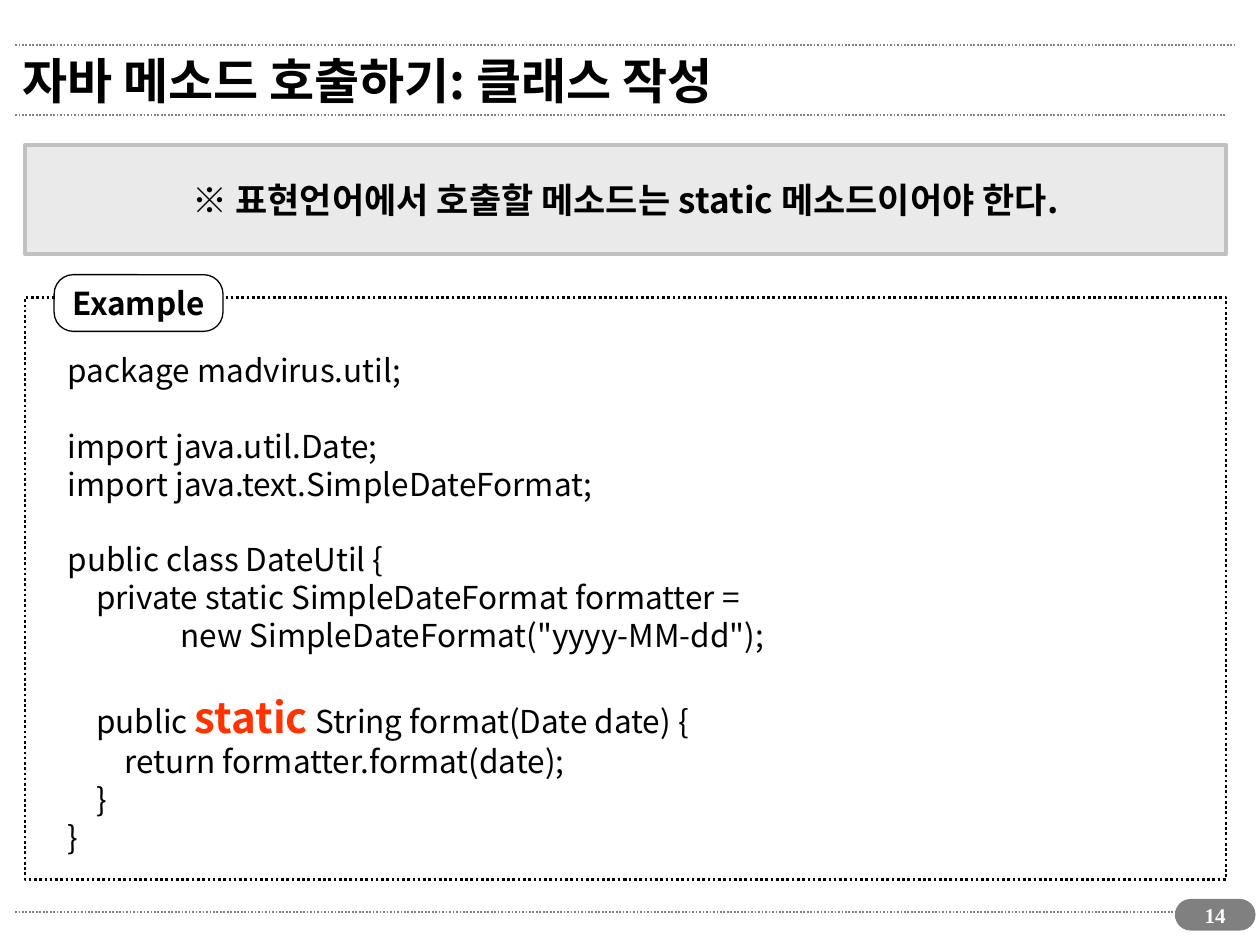
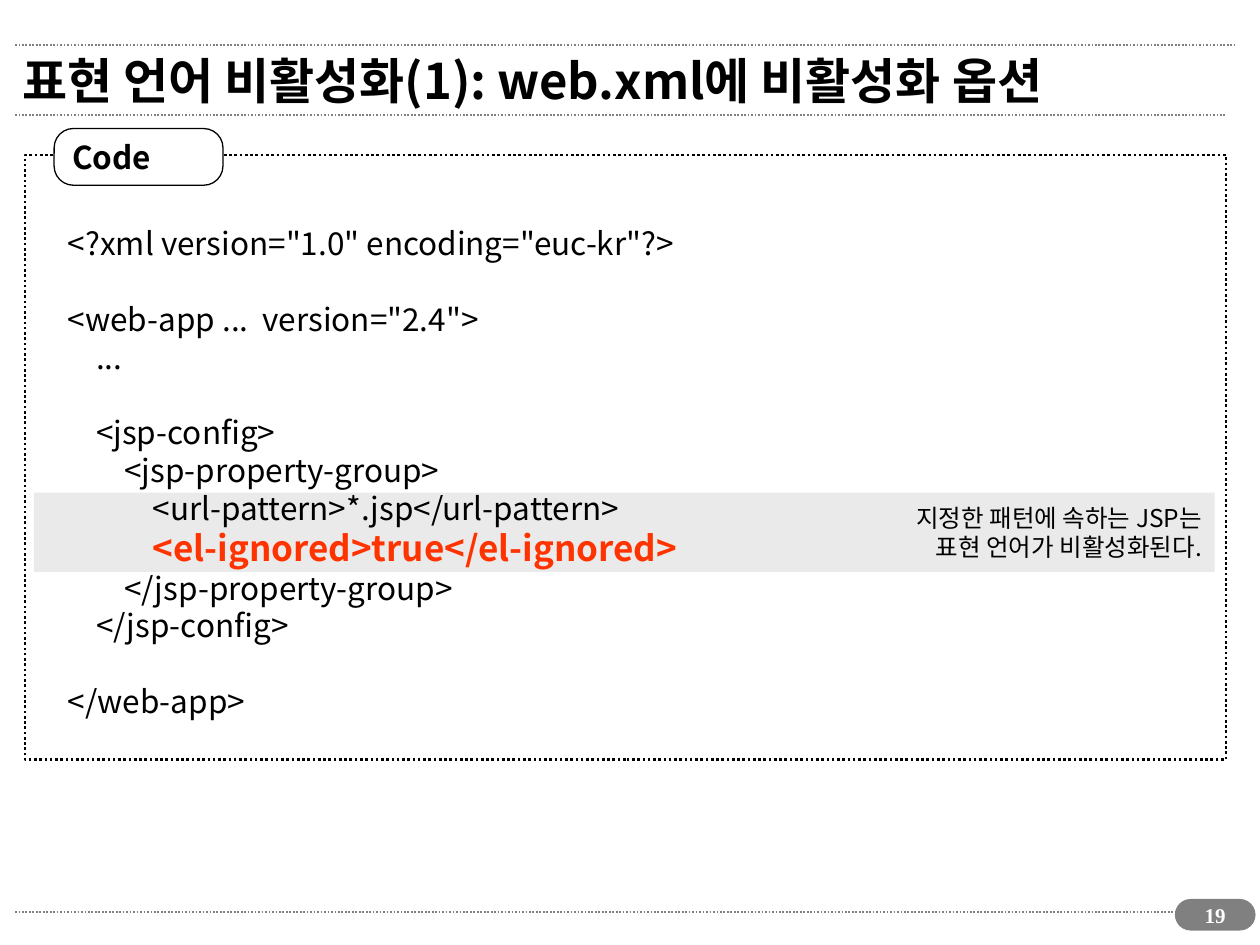
"""Build two slides on calling Java methods from, and disabling, the expression language."""
from dataclasses import dataclass

from lxml import etree
from pptx import Presentation
from pptx.dml.color import RGBColor
from pptx.enum.dml import MSO_LINE
from pptx.enum.shapes import MSO_CONNECTOR, MSO_SHAPE
from pptx.enum.text import MSO_ANCHOR, PP_ALIGN
from pptx.oxml.ns import qn
from pptx.util import Inches, Pt

BLACK = RGBColor(0x00, 0x00, 0x00)
WHITE = RGBColor(0xFF, 0xFF, 0xFF)
GRAY = RGBColor(0x80, 0x80, 0x80)
BORDER_GRAY = RGBColor(0xC0, 0xC0, 0xC0)
PALE_GRAY = RGBColor(0xEA, 0xEA, 0xEA)
RED = RGBColor(0xFF, 0x33, 0x00)

BODY_FONT = "Noto Sans CJK KR"
NUMBER_FONT = "Times New Roman"

LEFT, CENTER, RIGHT = PP_ALIGN.LEFT, PP_ALIGN.CENTER, PP_ALIGN.RIGHT
TOP, MIDDLE = MSO_ANCHOR.TOP, MSO_ANCHOR.MIDDLE
RECT, ROUND_RECT = MSO_SHAPE.RECTANGLE, MSO_SHAPE.ROUNDED_RECTANGLE
STRAIGHT, DOTTED = MSO_CONNECTOR.STRAIGHT, MSO_LINE.ROUND_DOT

WIDTH, HEIGHT = Inches(10), Inches(7.5)
COLUMNS, ROWS = 100, 75
LEADING = 1.2
FRAME_LEFT, FRAME_WIDTH = 2, 95.3
RULES = ((72.4, 97.3), (9.1, 97.2), (3.6, 98))


@dataclass
class Run:
    """A stretch of text in one style."""

    text: str
    size: int = 18
    color: RGBColor = BLACK
    bold: bool = False
    font: str = BODY_FONT


DATE_UTIL = [
    [Run("package madvirus.util;")],
    [],
    [Run("import java.util.Date;")],
    [Run("import java.text.SimpleDateFormat;")],
    [],
    [Run("public class DateUtil {")],
    [Run("    private static SimpleDateFormat formatter =")],
    [Run('                new SimpleDateFormat("yyyy-MM-dd");')],
    [],
    [Run("    public "), Run("static", 24, RED, True), Run(" String format(Date date) {")],
    [Run("        return formatter.format(date);")],
    [Run("    }")],
    [Run("}")],
]

WEB_XML = [
    [Run('<?xml version="1.0" encoding="euc-kr"?>')],
    [],
    [Run('<web-app ...  version="2.4">')],
    [Run("    ...")],
    [],
    [Run("    <jsp-config>")],
    [Run("        <jsp-property-group>")],
    [Run("            <url-pattern>*.jsp</url-pattern>")],
    [Run("            "), Run("<el-ignored>true</el-ignored>", 20, RED, True)],
    [Run("        </jsp-property-group>")],
    [Run("    </jsp-config>")],
    [],
    [Run("</web-app>")],
]


def grid(left, top, width, height):
    """Turn columns and rows into slide lengths."""
    col, row = WIDTH / COLUMNS, HEIGHT / ROWS
    return [round(n) for n in (left * col, top * row, width * col, height * row)]


def add_run(p, run):
    """Append a styled run to a paragraph."""
    r = p.add_run()
    r.text = run.text
    r.font.size = Pt(run.size)
    r.font.bold = run.bold
    r.font.color.rgb = run.color
    r.font.name = run.font
    etree.SubElement(r._r.get_or_add_rPr(), qn("a:ea"), typeface=run.font)


def write(sp, lines, align=LEFT, anchor=MIDDLE, wrap=True):
    """Fill a shape with lines; an empty line becomes space before the next."""
    tf = sp.text_frame
    tf.word_wrap = wrap
    tf.vertical_anchor = anchor
    p, gap = tf.paragraphs[0], 0
    for i, runs in enumerate(lines):
        if not runs:
            gap += 18 * LEADING
            continue
        if i:
            p = tf.add_paragraph()
        p.alignment = align
        if len(lines) > 1:
            p.line_spacing = Pt(LEADING * max(run.size for run in runs))
        if gap:
            p.space_before = Pt(gap)
            gap = 0
        for run in runs:
            add_run(p, run)


def add_box(slide, kind, box, fill=None, line=None, weight=0.75):
    """Add a preset shape with a plain fill and outline."""
    sp = slide.shapes.add_shape(kind, *grid(*box))
    sp.shadow.inherit = False
    if fill is None:
        sp.fill.background()
    else:
        sp.fill.solid()
        sp.fill.fore_color.rgb = fill
    if line is None:
        sp.line.fill.background()
    else:
        sp.line.color.rgb = line
        sp.line.width = Pt(weight)
    return sp


def add_rule(slide, row, end):
    """Draw a dotted horizontal rule."""
    x1, y, x2, _ = grid(1.2, row, end, 0)
    s = slide.shapes.add_connector(STRAIGHT, x1, y, x2, y)
    s.line.color.rgb = GRAY
    s.line.width = Pt(1)
    s.line.dash_style = DOTTED
    etree.SubElement(s._element.spPr, qn("a:effectLst"))


def add_text(slide, box, lines, **layout):
    """Add a text box."""
    write(slide.shapes.add_textbox(*grid(*box)), lines, **layout)


def add_page(prs, title, number):
    """Add a slide with its rules, title and page number."""
    slide = prs.slides.add_slide(prs.slide_layouts[6])
    for row, end in RULES:
        add_rule(slide, row, end)
    badge = add_box(slide, ROUND_RECT, (93.3, 71.4, 6.3, 2.4), GRAY, GRAY)
    badge.adjustments[0] = 0.5
    tf = badge.text_frame
    tf.margin_left = tf.margin_right = tf.margin_top = tf.margin_bottom = 0
    write(badge, [[Run(str(number), 12, WHITE, True, NUMBER_FONT)]], CENTER)
    add_text(slide, (0.8, 2.8, 91, 7.1), [[Run(title, 28, bold=True)]])
    return slide


def add_code(slide, label, top, height, label_top, code_top, lines):
    """Add a dotted frame with a label on its edge and code inside."""
    frame = add_box(slide, RECT, (FRAME_LEFT, top, FRAME_WIDTH, height), line=BLACK, weight=1.5)
    frame.line.dash_style = DOTTED
    tag = add_box(slide, ROUND_RECT, (4.3, label_top, 13.4, 4.5), WHITE, BLACK)
    tag.adjustments[0] = 0.34
    write(tag, [[Run(label, bold=True)]], wrap=False)
    add_text(slide, (4.4, code_top, 90.5, 41), lines, anchor=TOP)


def add_static_slide(prs):
    """Build the slide on writing the class."""
    slide = add_page(prs, "자바 메소드 호출하기: 클래스 작성", 14)
    note = add_box(slide, RECT, (FRAME_LEFT, 11.5, FRAME_WIDTH, 8.7), PALE_GRAY, BORDER_GRAY, 2.25)
    rule = "※ 표현언어에서 호출할 메소드는 static 메소드이어야 한다."
    write(note, [[Run(rule, 20, bold=True)]], CENTER)
    add_code(slide, "Example", 23.6, 46.2, 21.8, 27.4, DATE_UTIL)


def add_disable_slide(prs):
    """Build the slide on the web.xml option."""
    slide = add_page(prs, "표현 언어 비활성화(1): web.xml에 비활성화 옵션", 19)
    band = add_box(slide, RECT, (2.7, 39.1, 93.7, 6.3), PALE_GRAY)
    remark = ("지정한 패턴에 속하는 JSP는", "표현 언어가 비활성화된다.")
    write(band, [[Run(text, 14)] for text in remark], RIGHT)
    add_code(slide, "Code", 12.3, 48, 10.2, 17.3, WEB_XML)


def main():
    """Build and save the presentation."""
    prs = Presentation()
    prs.slide_width, prs.slide_height = WIDTH, HEIGHT
    add_static_slide(prs)
    add_disable_slide(prs)
    prs.save("out.pptx")


if __name__ == "__main__":
    main()
